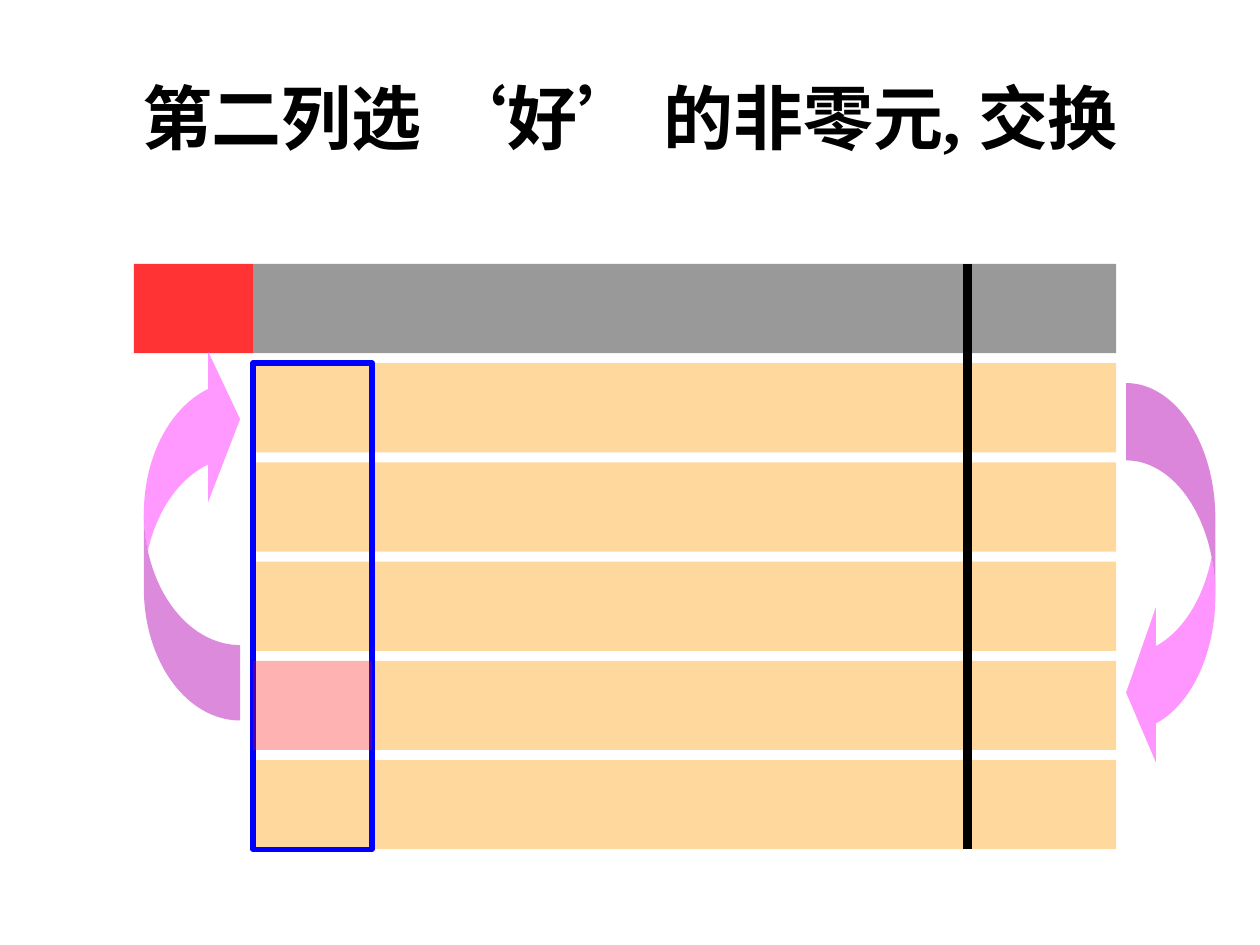
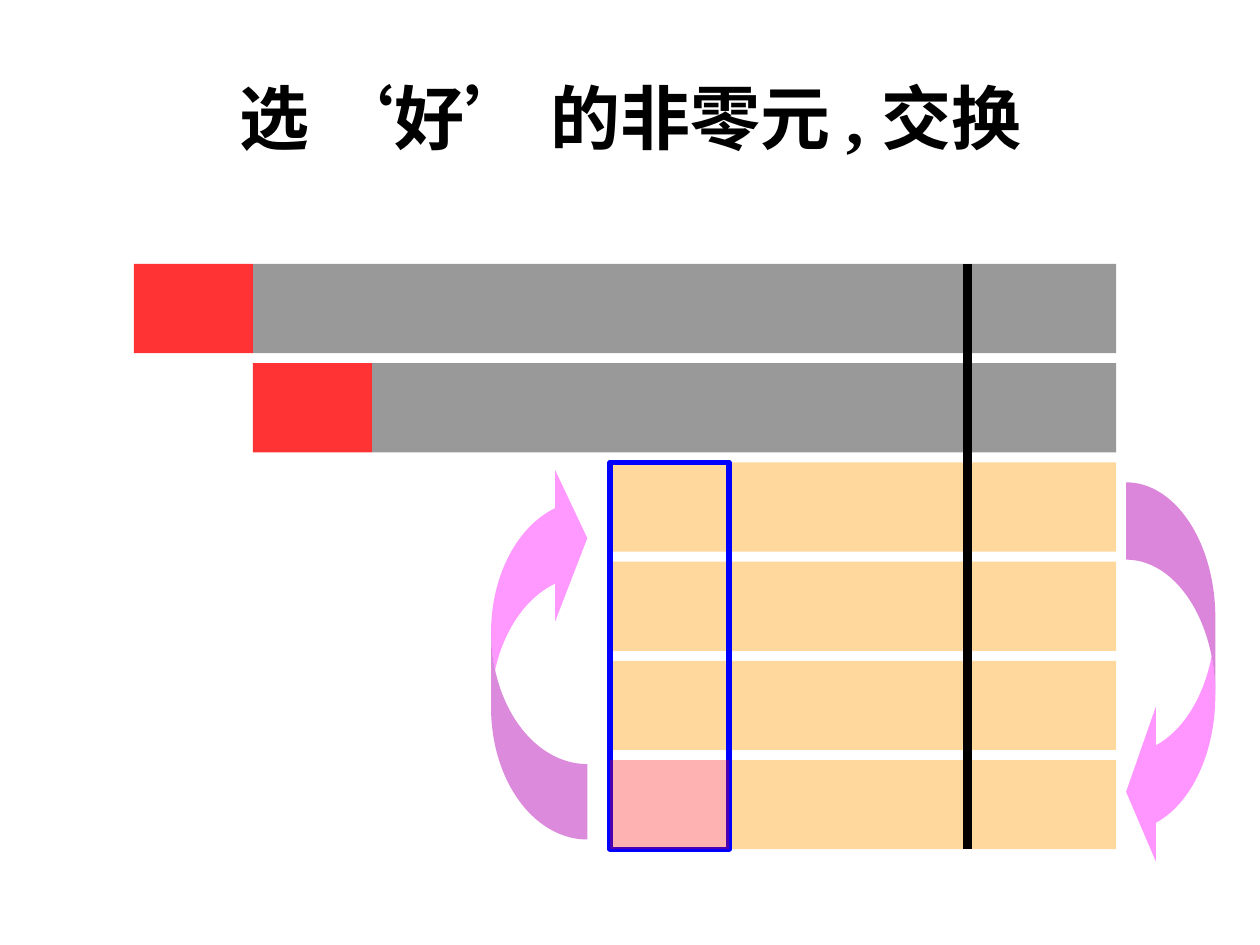
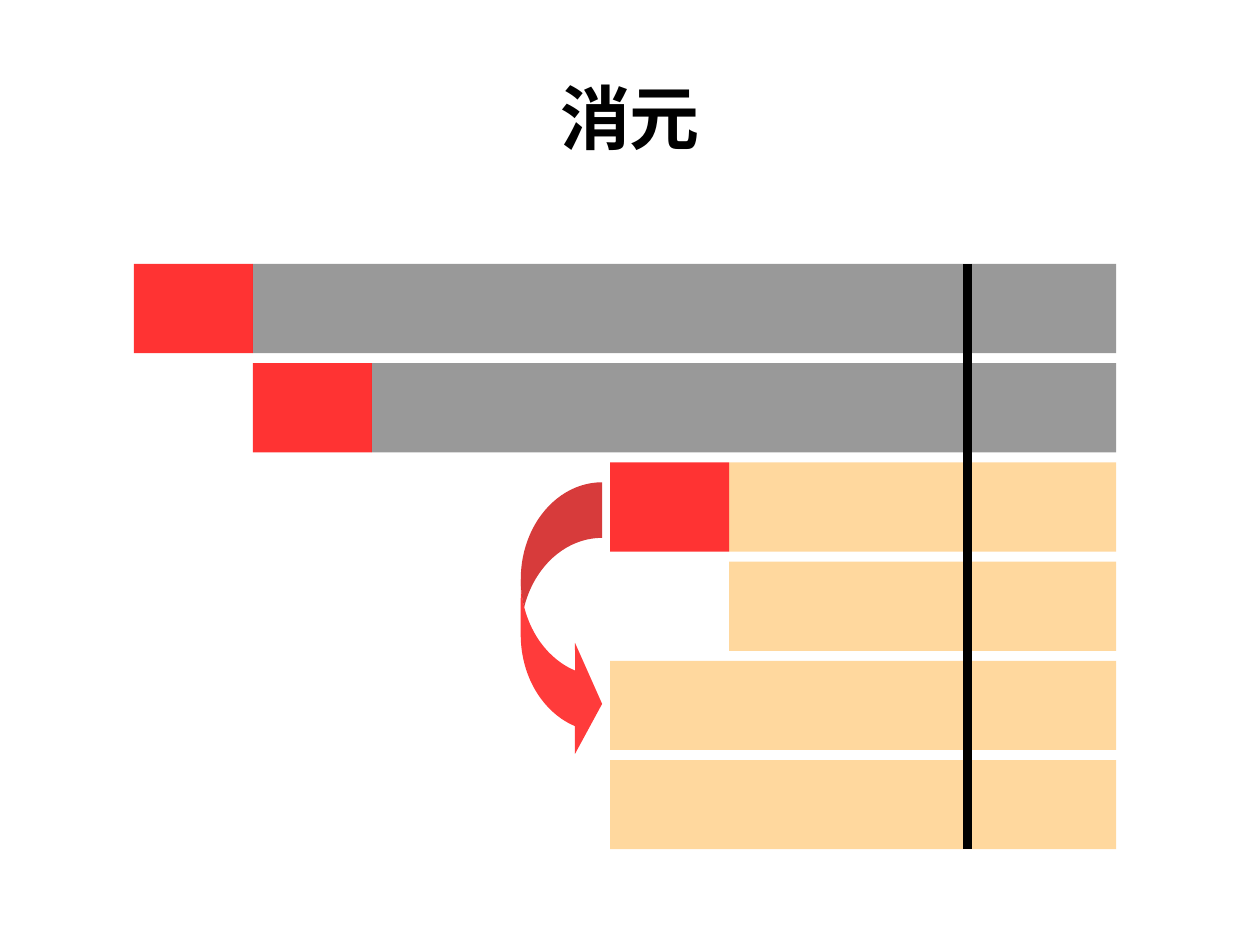
"""Build three slides that show Gaussian elimination with pivot selection."""
import dataclasses

import lxml.etree
import pptx
import pptx.dml.color
import pptx.enum.shapes
import pptx.enum.text
import pptx.oxml.ns
import pptx.util

Pt = pptx.util.Pt
MSO = pptx.enum.shapes.MSO_SHAPE
qn = pptx.oxml.ns.qn


@dataclasses.dataclass(frozen=True)
class Theme:
    font: str = "Times New Roman"
    title_size: int = 40
    ink: str = "000000"
    paper: str = "FFFFFF"
    done: tuple = ("808080", 80)
    active: tuple = ("FF9900", 38)
    pivot: tuple = ("FF0000", 80)
    candidate: tuple = ("FF0000", 30)
    swap_left: tuple = ("FF66FF", 67)
    swap_right: tuple = ("FF66FF", 69)
    eliminate: tuple = ("FF0000", 77)
    outline: str = "0000FF"
    outline_width: float = 3
    divider_width: float = 5.5


LEFT, TOP, RIGHT = 76.5, 150.8, 637.8
COL, ROW, PITCH, ROWS = 68.03, 51, 56.7, 6
DIVIDER = 552.8


def col_x(col):
    return LEFT + col * COL


def row_y(row):
    return TOP + row * PITCH


def rgb(color):
    return pptx.dml.color.RGBColor.from_string(color)


class Deck:
    def __init__(self, theme):
        self.theme = theme
        self.prs = pptx.Presentation()
        self.prs.slide_width, self.prs.slide_height = Pt(720), Pt(540)
        self.s = None

    def slide(self, title):
        self.s = self.prs.slides.add_slide(self.prs.slide_layouts[5])
        self.s.background.fill.solid()
        self.s.background.fill.fore_color.rgb = rgb(self.theme.paper)
        sp = self.s.shapes.title
        sp.left, sp.top, sp.width, sp.height = Pt(36), Pt(21.6), Pt(648), Pt(90)
        tf = sp.text_frame
        tf.text = title
        tf.auto_size = pptx.enum.text.MSO_AUTO_SIZE.NONE
        tf.vertical_anchor = pptx.enum.text.MSO_ANCHOR.MIDDLE
        p = tf.paragraphs[0]
        p.alignment = pptx.enum.text.PP_ALIGN.CENTER
        p.font.name, p.font.size, p.font.bold = self.theme.font, Pt(self.theme.title_size), True
        p.font.color.rgb = rgb(self.theme.ink)

    def shape(self, kind, x, y, w, h, paint=None):
        sp = self.s.shapes.add_shape(kind, Pt(x), Pt(y), Pt(w), Pt(h))
        sp.shadow.inherit = False
        sp.line.fill.background()
        if paint is None:
            sp.fill.background()
            return sp
        color, opacity = paint
        sp.fill.solid()
        sp.fill.fore_color.rgb = rgb(color)
        clr = sp.fill._xPr.find(qn("a:solidFill"))[0]
        lxml.etree.SubElement(clr, qn("a:alpha")).set("val", str(opacity * 1000))
        return sp

    def bar(self, row, col, paint):
        self.shape(MSO.RECTANGLE, col_x(col), row_y(row), RIGHT - col_x(col), ROW, paint)

    def cell(self, row, col, paint):
        self.shape(MSO.RECTANGLE, col_x(col), row_y(row), COL, ROW, paint)

    def matrix(self, starts, done, pivots):
        for row, col in enumerate(starts):
            self.bar(row, col, self.theme.done if row < done else self.theme.active)
        for row, col in pivots:
            self.cell(row, col, self.theme.pivot)

    def column_frame(self, row, col):
        height = row_y(ROWS - 1) + ROW - row_y(row)
        sp = self.shape(MSO.RECTANGLE, col_x(col), row_y(row), COL, height)
        sp.line.color.rgb = rgb(self.theme.outline)
        sp.line.width = Pt(self.theme.outline_width)

    def arrow(self, kind, x, y, w, h, thickness, paint, rotation=0):
        sp = self.shape(kind, x, y, w, h, paint)
        sp.rotation = rotation
        for i, value in enumerate((thickness, 2 * thickness, 0.333)):
            sp.adjustments[i] = value

    def swap(self, row, x, y):
        self.arrow(MSO.CURVED_LEFT_ARROW, x, y, 55, 215.3, 0.784, self.theme.swap_left, 180)
        self.arrow(MSO.CURVED_LEFT_ARROW, 643.5, row_y(row) + 11.4, 51, 221.1, 0.867,
                   self.theme.swap_right)

    def divider(self):
        ln = self.s.shapes.add_connector(
            pptx.enum.shapes.MSO_CONNECTOR.STRAIGHT,
            Pt(DIVIDER), Pt(TOP), Pt(DIVIDER), Pt(row_y(ROWS - 1) + ROW))
        ln.line.color.rgb = rgb(self.theme.ink)
        ln.line.width = Pt(self.theme.divider_width)
        lxml.etree.SubElement(ln._element.spPr, qn("a:effectLst"))


def main():
    theme = Theme()
    deck = Deck(theme)

    deck.slide("第二列选 ‘好’ 的非零元, 交换")
    deck.matrix([1, 1, 1, 1, 2, 1], 1, [(0, 0)])
    deck.column_frame(1, 1)
    deck.cell(4, 1, theme.candidate)
    deck.swap(1, 82.2, 196.4)
    deck.divider()

    deck.slide("选 ‘好’ 的非零元 , 交换")
    deck.matrix([1, 2, 4, 4, 4, 5], 2, [(0, 0), (1, 1)])
    deck.column_frame(2, 4)
    deck.cell(5, 4, theme.candidate)
    deck.swap(2, 280.6, 264.4)
    deck.divider()

    deck.slide("消元")
    deck.matrix([1, 2, 5, 5, 4, 4], 2, [(0, 0), (1, 1), (2, 4)])
    deck.arrow(MSO.CURVED_RIGHT_ARROW, 297.6, row_y(2) + 11.4, 46.5, 158.4, 0.683,
               theme.eliminate)
    deck.divider()

    deck.prs.save("out.pptx")


if __name__ == "__main__":
    main()
